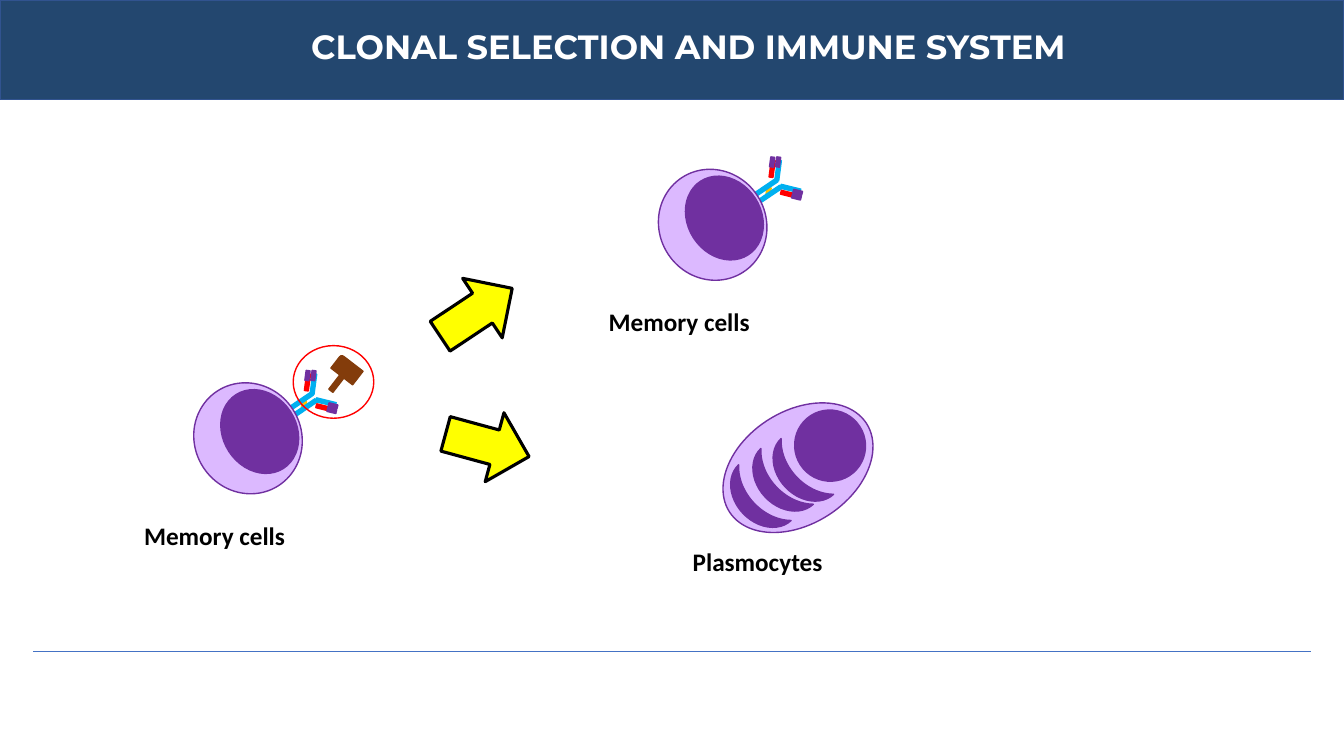
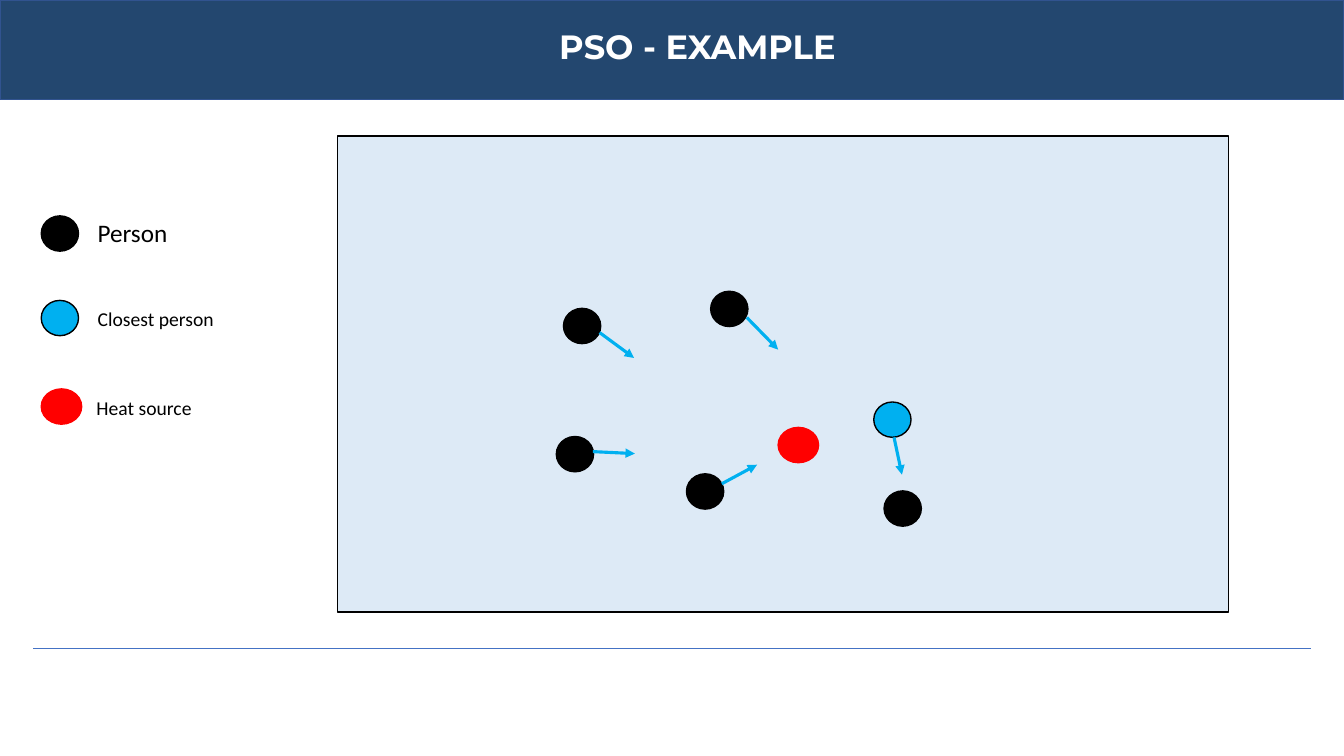
from pptx import Presentation
from pptx.dml.color import RGBColor
from pptx.enum.shapes import MSO_CONNECTOR, MSO_SHAPE
from pptx.enum.text import PP_ALIGN
from pptx.oxml.ns import qn
from pptx.util import Cm, Pt
from lxml import etree

RECTANGLE = MSO_SHAPE.RECTANGLE
ROUNDED = MSO_SHAPE.ROUND_1_RECTANGLE
OVAL = MSO_SHAPE.OVAL
MOON = MSO_SHAPE.MOON
UP_ARROW = MSO_SHAPE.UP_ARROW
STRAIGHT = MSO_CONNECTOR.STRAIGHT
CURVE = MSO_CONNECTOR.CURVE
LEFT = PP_ALIGN.LEFT
CENTER = PP_ALIGN.CENTER

PAGE_WIDTH, PAGE_HEIGHT = 33.87, 19.05
BAND_FILL, BAND_LINE, RULE = "23476F", "31538F", "4472C4"
BLACK, WHITE, RED, BLUE = "000000", "FFFFFF", "FF0000", "00B0F0"
PURPLE, LILAC, ORANGE = "7030A0", "DCB9FF", "FFC000"
BROWN, YELLOW, PALE_BLUE = "833C0B", "FFFF00", "DDEAF6"
TITLE_FONT, BODY_FONT = "Montserrat", "Calibri"

ANTIBODY_THREADS = [(2.67, 0.46), (2.74, 0.43)]
ANTIBODY_BARS = [
    (2.72, 0.08, 0.64, 55.9, BLUE),
    (3.02, -0.28, 0.51, 7.6, BLUE),
    (2.87, -0.28, 0.43, 7.6, RED),
    (2.82, 0.25, 0.64, 55.9, BLUE),
    (3.33, 0.18, 0.51, 103.8, BLUE),
    (3.3, 0.36, 0.43, 284.2, RED),
    (2.87, -0.36, 0.25, 7.6, PURPLE),
    (3.02, -0.36, 0.25, 7.6, PURPLE),
    (3.51, 0.41, 0.23, 103.7, PURPLE),
    (3.48, 0.53, 0.23, 103.7, PURPLE),
]
PEOPLE = [(14.2, 7.77), (17.3, 11.94), (14.02, 11), (17.91, 7.34), (22.28, 12.37)]
MOVES = [
    (14.94, 11.38, 16, 11.43),
    (18.19, 12.19, 19.08, 11.71),
    (15.11, 8.38, 15.98, 9.02),
    (18.82, 8, 19.61, 8.81),
    (22.53, 11.02, 22.73, 11.96),
]


def color(value):
    """Turn a hex string into a colour."""
    return RGBColor.from_string(value)


def add_figure(page, kind, left, top, width, height, fill=None, line=None,
               weight=1, rotation=0):
    """Add a preset shape, outlined in its fill colour by default."""
    figure = page.shapes.add_shape(kind, Cm(left), Cm(top), Cm(width), Cm(height))
    figure.shadow.inherit = False
    figure.rotation = rotation
    if fill:
        figure.fill.solid()
        figure.fill.fore_color.rgb = color(fill)
    else:
        figure.fill.background()
    figure.line.color.rgb = color(line or fill)
    figure.line.width = Pt(weight)
    return figure


def add_line(page, start_x, start_y, end_x, end_y, line, weight,
             kind=STRAIGHT, rotation=0, arrow=False):
    """Add a connector, optionally turned or with an arrowhead."""
    connector = page.shapes.add_connector(
        kind, Cm(start_x), Cm(start_y), Cm(end_x), Cm(end_y))
    connector.line.color.rgb = color(line)
    connector.line.width = Pt(weight)
    properties = connector._element.spPr
    if rotation:
        properties.find(qn("a:xfrm")).set("rot", str(rotation * 60000))
    if arrow:
        etree.SubElement(properties.find(qn("a:ln")), qn("a:tailEnd"), type="triangle")
    etree.SubElement(properties, qn("a:effectLst"))


def add_text(page, text, left, top, width, height, size=18, font=BODY_FONT,
             ink=BLACK, bold=False, align=LEFT):
    """Add a one-paragraph text box."""
    box = page.shapes.add_textbox(Cm(left), Cm(top), Cm(width), Cm(height))
    box.text_frame.word_wrap = True
    para = box.text_frame.paragraphs[0]
    para.alignment = align
    span = para.add_run()
    span.text = text
    span.font.size = Pt(size)
    span.font.name = font
    span.font.bold = bold
    span.font.color.rgb = color(ink)


def add_page(deck, title, title_width, rule_top):
    """Add a page with the title band and the bottom rule."""
    page = deck.slides.add_slide(deck.slide_layouts[6])
    add_figure(page, RECTANGLE, 0, 0, PAGE_WIDTH, 2.51, BAND_FILL, BAND_LINE)
    add_text(page, title, 7.06, 0.53, title_width, 1.27, size=24,
             font=TITLE_FONT, ink=WHITE, bold=True, align=CENTER)
    add_line(page, 0.84, rule_top, 33.05, rule_top, RULE, 0.75)
    return page


def add_memory_cell(page, left, top):
    """Add a labelled cell that carries an antibody."""
    for x, y in ANTIBODY_THREADS:
        add_line(page, left + x, top + y, left + x + 0.25, top + y + 0.1,
                 ORANGE, 2.25, kind=CURVE, rotation=56)
    for x, y, length, rotation, fill in ANTIBODY_BARS:
        add_figure(page, RECTANGLE, left + x, top + y, 0.1, length, fill,
                   rotation=rotation)
    add_figure(page, OVAL, left, top, 2.84, 2.69, LILAC, PURPLE, rotation=57.1)
    add_figure(page, OVAL, left + 0.61, top + 0.25, 2.21, 1.85, PURPLE, rotation=57.1)
    add_text(page, "Memory cells", left - 1.45, top + 3.28, 5.74, 1.02, bold=True)


def add_plasmocyte(page):
    """Add the labelled plasma cell with its folded membranes."""
    add_figure(page, OVAL, 18.69, 9.73, 2.84, 4.11, LILAC, PURPLE, rotation=57.1)
    add_figure(page, OVAL, 20.02, 10.34, 1.8, 1.78, PURPLE, rotation=57.1)
    for left, top in [(19.69, 11.05), (19.18, 11.3), (18.62, 11.71)]:
        add_figure(page, MOON, left, top, 0.76, 1.93, PURPLE, rotation=316.7)
    add_text(page, "Plasmocytes", 16.87, 13.64, 4.45, 1.02, bold=True, align=CENTER)


def add_antigen(page):
    """Add the circled antigen beside the antibody."""
    for left, top, width, height in [(8.53, 8.97, 0.43, 0.69), (8.2, 9.5, 0.71, 0.13)]:
        add_figure(page, ROUNDED, left, top, width, height, BROWN, rotation=307.6)
    add_figure(page, OVAL, 7.39, 8.71, 2.03, 1.83, line=RED)


def add_person(page, left, top, fill=BLACK):
    """Add the dot for one person."""
    add_figure(page, OVAL, left, top, 0.94, 0.89, fill, BLACK)


def add_heat_source(page, left, top):
    """Add the dot for the heat source."""
    add_figure(page, OVAL, left, top, 1.02, 0.89, RED)


def add_legend(page):
    """Add the key to the dots."""
    add_person(page, 1.04, 5.44)
    add_person(page, 1.04, 7.57, BLUE)
    add_heat_source(page, 1.04, 9.8)
    add_text(page, "Person", 2.21, 5.36, 3.78, 1.02)
    add_text(page, "Closest person", 2.21, 7.62, 5.36, 0.86, size=14)
    add_text(page, "Heat source", 2.18, 9.86, 5.36, 0.86, size=14)


def build_clonal_selection(deck):
    """Build the page on clonal selection."""
    page = add_page(deck, "CLONAL SELECTION AND IMMUNE SYSTEM", 20.57, 16.41)
    add_memory_cell(page, 16.54, 4.32)
    add_plasmocyte(page)
    add_memory_cell(page, 4.83, 9.7)
    add_antigen(page)
    for left, top, rotation in [(11.1, 6.78, 56.4), (11.38, 10.13, 105.2)]:
        add_figure(page, UP_ARROW, left, top, 1.8, 2.18, YELLOW, BLACK,
                   weight=2.25, rotation=rotation)


def build_swarm_example(deck):
    """Build the page with the particle swarm example."""
    page = add_page(deck, "PSO - EXAMPLE", 21.03, 16.33)
    add_figure(page, RECTANGLE, 8.51, 3.43, 22.45, 11.99, PALE_BLUE, BLACK)
    add_heat_source(page, 19.61, 10.77)
    for left, top in PEOPLE:
        add_person(page, left, top)
    add_person(page, 22.02, 10.13, BLUE)
    for move in MOVES:
        add_line(page, *move, BLUE, 2.25, arrow=True)
    add_legend(page)


def main():
    """Build and save the deck."""
    deck = Presentation()
    deck.slide_width = Cm(PAGE_WIDTH)
    deck.slide_height = Cm(PAGE_HEIGHT)
    build_clonal_selection(deck)
    build_swarm_example(deck)
    deck.save("out.pptx")


if __name__ == "__main__":
    main()
